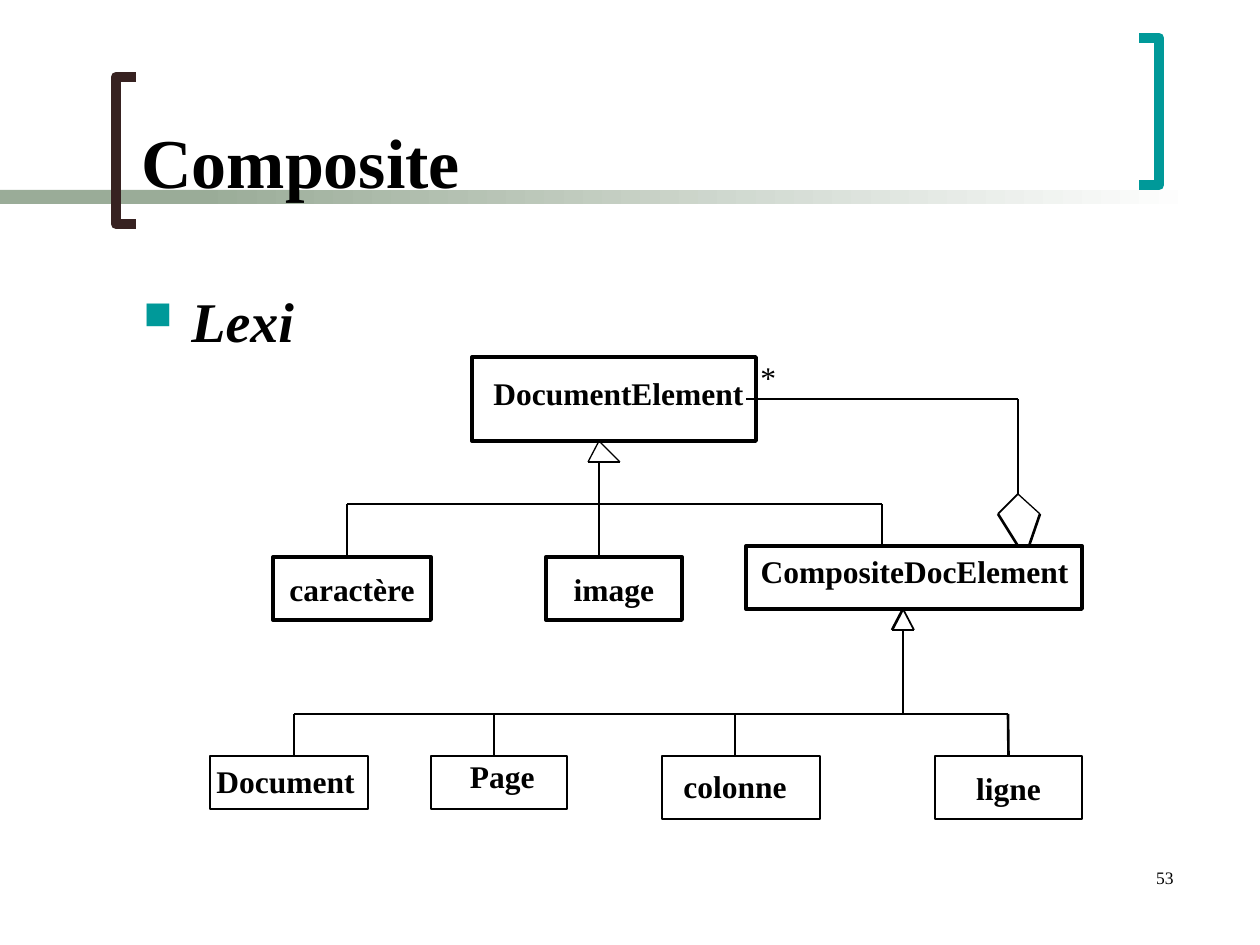
import lxml.etree
import pptx
import pptx.dml.color
import pptx.enum.shapes
import pptx.enum.text
import pptx.oxml.ns
import pptx.util

RECTANGLE = pptx.enum.shapes.MSO_SHAPE.RECTANGLE
STRAIGHT = pptx.enum.shapes.MSO_CONNECTOR.STRAIGHT
ALIGN = pptx.enum.text.PP_ALIGN
ANCHOR = pptx.enum.text.MSO_ANCHOR
PX = pptx.util.Inches(1) / 126
qn = pptx.oxml.ns.qn


class Theme:
    ink = pptx.dml.color.RGBColor.from_string("000000")
    paper = pptx.dml.color.RGBColor.from_string("FFFFFF")
    sage = pptx.dml.color.RGBColor.from_string("9AAC98")
    brown = pptx.dml.color.RGBColor.from_string("372221")
    teal = pptx.dml.color.RGBColor.from_string("009999")
    face = "Times New Roman"
    title, body, label, number = 40, 32, 18, 10


def emu(*lengths):
    return [round(length * PX) for length in lengths]


def write(box, text, size, align, anchor=ANCHOR.TOP, wrap=True, bold=True, italic=False):
    """Put one formatted paragraph in a box and return it."""
    frame = box.text_frame
    for name, value in {"word_wrap": wrap, "vertical_anchor": anchor}.items():
        setattr(frame, name, value)
    para = frame.paragraphs[0]
    para.alignment = align
    span = para.add_run()
    span.text = text
    font_format = {"name": Theme.face, "size": pptx.util.Pt(size), "bold": bold, "italic": italic}
    for name, value in font_format.items():
        setattr(span.font, name, value)
    span.font.color.rgb = Theme.ink
    return para


deck = pptx.Presentation()
deck.slide_width, deck.slide_height = emu(1260, 945)
page = deck.slides.add_slide(deck.slide_layouts[6])
shapes = page.shapes

# Band behind the title
solid_band = shapes.add_shape(RECTANGLE, *emu(0, 190, 294, 14))
solid_band.fill.solid()
solid_band.fill.fore_color.rgb = Theme.sage
fading_band = shapes.add_shape(RECTANGLE, *emu(199, 190, 998, 14))
fading_band.fill.gradient()
fading_band.fill.gradient_angle = 180
for stop, color in zip(fading_band.fill.gradient_stops, (Theme.paper, Theme.sage)):
    stop.color.rgb = color
for band in (solid_band, fading_band):
    band.shadow.inherit = False
    band.line.fill.background()

# Brackets: open side, spine, top, bottom
for tip, spine, top, bottom, color in (
    (136, 116, 77, 224, Theme.brown),
    (1139, 1159, 38, 185, Theme.teal),
):
    outline = shapes.build_freeform(tip, top, scale=PX)
    outline.add_line_segments([(spine, top), (spine, bottom), (tip, bottom)], close=False)
    bracket = outline.convert_to_shape()
    bracket.shadow.inherit = False
    bracket.fill.background()
    bracket.line.color.rgb = color
    bracket.line.width = pptx.util.Pt(6)

# Title and bullet
title_box = shapes.add_textbox(*emu(129, 14, 987, 195))
write(title_box, "Composite", Theme.title, ALIGN.LEFT, ANCHOR.BOTTOM)
body_box = shapes.add_textbox(*emu(131, 280, 1056, 560))
bullet_para = write(body_box, "Lexi", Theme.body, ALIGN.LEFT, italic=True)
bullet = bullet_para._p.get_or_add_pPr()
indent = emu(48)[0]
bullet.set("marL", str(indent))
bullet.set("indent", str(-indent))
bullet_color = lxml.etree.SubElement(bullet, qn("a:buClr"))
lxml.etree.SubElement(bullet_color, qn("a:srgbClr"), val=str(Theme.teal))
lxml.etree.SubElement(bullet, qn("a:buSzPct"), val="70000")
lxml.etree.SubElement(bullet, qn("a:buChar"), char="■")

# Class boxes: name, place, line width, place of a separate label
classes = {}
for name, place, weight, label_place in (
    ("DocumentElement", (472, 357, 284, 84), 2.25, (276, 368, 480, 50)),
    ("caractère", (273, 557, 158, 63), 2.25, None),
    ("image", (546, 557, 136, 63), 2.25, None),
    ("CompositeDocElement", (746, 546, 336, 63), 2.25, (435, 546, 646, 50)),
    ("Document", (210, 756, 158, 53), 1.5, (97, 756, 270, 50)),
    ("Page", (431, 756, 136, 53), 1.5, (364, 751, 183, 50)),
    ("colonne", (662, 756, 158, 63), 1.5, (581, 761, 218, 50)),
    ("ligne", (935, 756, 147, 63), 1.5, None),
):
    box = classes[name] = shapes.add_shape(RECTANGLE, *emu(*place))
    box.shadow.inherit = False
    box.fill.background()
    box.line.color.rgb = Theme.ink
    box.line.width = pptx.util.Pt(weight)
    if label_place:
        label_box = shapes.add_textbox(*emu(*label_place))
        write(label_box, name, Theme.label, ALIGN.RIGHT)
    else:
        write(box, name, Theme.label, ALIGN.CENTER, ANCHOR.MIDDLE, wrap=False)

# Lines: from x, y to x, y, grouped by width in points
links = {
    0.75: [
        (599, 441, 588, 462), (599, 441, 620, 462), (620, 462, 588, 462),
        (1040, 514, 1018, 494),
    ],
    1: [
        (998, 514, 1018, 494), (1018, 494, 1018, 399), (1018, 399, 746, 399),
        (294, 756, 294, 714), (294, 714, 1008, 714), (903, 609, 914, 630),
    ],
    1.5: [
        (599, 462, 599, 557), (882, 546, 882, 504), (347, 557, 347, 504),
        (882, 504, 347, 504), (1018, 546, 998, 514), (1029, 546, 1040, 514),
        (494, 756, 494, 714), (735, 756, 735, 714), (903, 609, 892, 630),
        (914, 630, 892, 630), (903, 630, 903, 714), (1008, 714, 1008, 756),
    ],
}
for weight, routes in links.items():
    for route in routes:
        link = shapes.add_connector(STRAIGHT, *emu(*route))
        link.line.color.rgb = Theme.ink
        link.line.width = pptx.util.Pt(weight)
        lxml.etree.SubElement(link._element.spPr, qn("a:effectLst"))
        if route[2:] == (1008, 756):
            link.end_connect(classes["ligne"], 0)

# Multiplicity and page number
star_box = shapes.add_textbox(*emu(748, 352, 40, 50))
write(star_box, "*", Theme.label, ALIGN.RIGHT, wrap=False, bold=False)
number_box = shapes.add_textbox(*emu(924, 861, 262, 63))
write(number_box, "53", Theme.number, ALIGN.RIGHT, bold=False)

deck.save("out.pptx")
